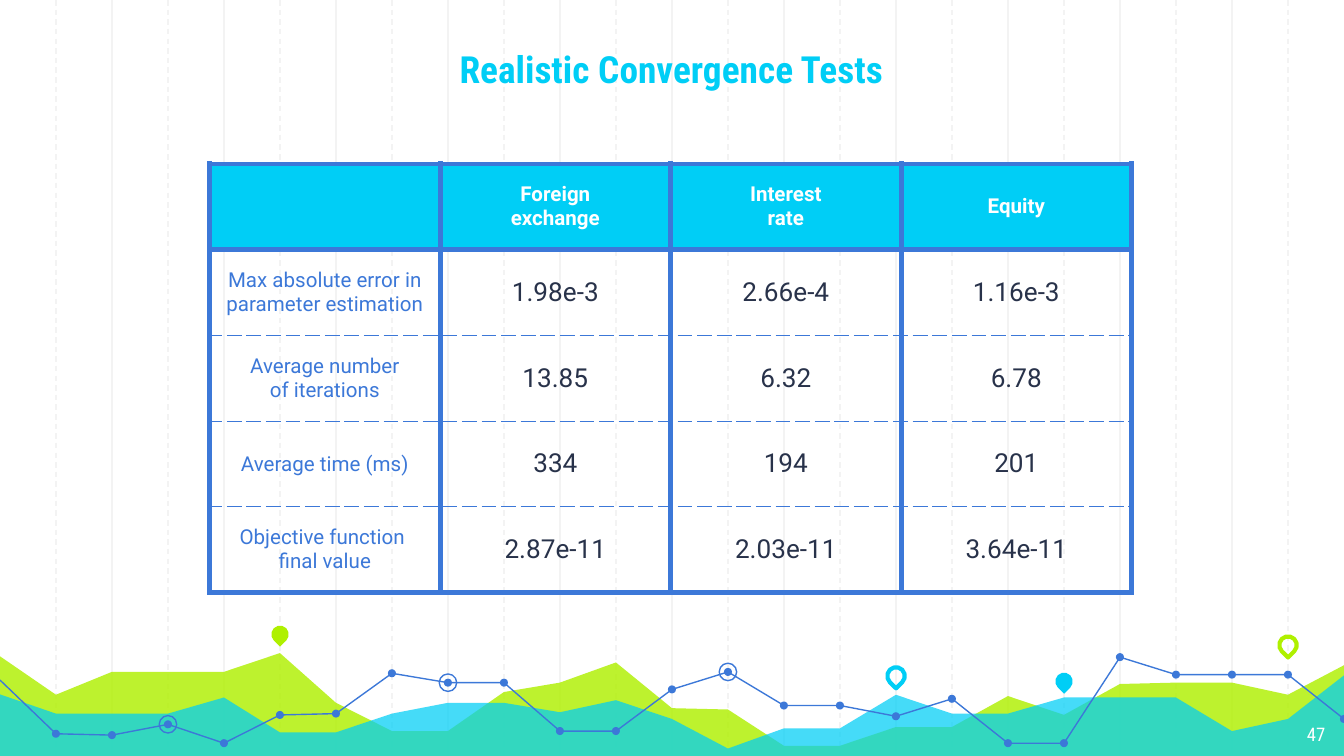
import pptx
import pptx.util
import pptx.dml.color
import pptx.enum.dml
import pptx.enum.shapes
import pptx.enum.text
import pptx.oxml
import pptx.oxml.ns

Inches, Pt = pptx.util.Inches, pptx.util.Pt
Shape = pptx.enum.shapes.MSO_SHAPE
Align = pptx.enum.text.PP_ALIGN
Anchor = pptx.enum.text.MSO_ANCHOR
A_NS = pptx.oxml.ns.nsdecls("a")

# Content
TITLE = "Realistic Convergence Tests"
PAGE = "47"
ROWS = [
    ["", "Foreign\nexchange", "Interest\nrate", "Equity"],
    ["Max absolute error in parameter estimation", "1.98e-3", "2.66e-4", "1.16e-3"],
    ["Average number\nof iterations", "13.85", "6.32", "6.78"],
    ["Average time (ms)", "334", "194", "201"],
    ["Objective function \nfinal value", "2.87e-11", "2.03e-11", "3.64e-11"],
]
COLORS = {"cyan": "00CEF6", "lime": "AFF000", "blue": "3C78D8",
          "ink": "28324A", "white": "FFFFFF", "grid": "F3F3F3"}

# Heights of the decoration, one value per grid column from the left edge
LIME_HILLS = [4.87, 5.17, 5, 5, 5, 4.86, 5.23, 5.44, 5.44, 5.15, 5.08, 4.93, 5.27,
              5.28, 5.55, 5.55, 5.41, 5.41, 5.18, 5.32, 5.09, 5.08, 5.08, 5.17, 4.94]
CYAN_HILLS = [5.16, 5.31, 5.31, 5.31, 5.19, 5.45, 5.45, 5.31, 5.23, 5.23, 5.3, 5.21, 5.35,
              5.57, 5.42, 5.42, 5.17, 5.31, 5.31, 5.19, 5.19, 5.19, 5.44, 5.35, 5.01]
TREND = [5.06, 5.46, 5.47, 5.39, 5.53, 5.32, 5.31, 5.01, 5.08, 5.08, 5.44, 5.44, 5.13,
         5, 5.25, 5.25, 5.33, 5.2, 5.53, 5.53, 4.89, 5.02, 5.02, 5.02, 5.35]
TREND_PARTS = [(0, 11), (11, 20), (20, 24)]
RINGED = [8, 3, 13]
PINS = [(5, 4.72, "lime", True), (16, 5.03, "cyan", False),
        (19, 5.07, "cyan", True), (23, 4.8, "lime", False)]  # column, y, colour, solid

# Geometry
WIDTH = 10
HEIGHT = WIDTH * 9 / 16
GRID = WIDTH / 24
BLEED = 0.02
DOT, MARK = 0.06, 0.13
TABLE_LEFT, TABLE_TOP, TABLE_WIDTH, TABLE_HEIGHT = 1.56, 1.22, 6.86, 3.19

deck = pptx.Presentation()
deck.slide_width, deck.slide_height = Inches(WIDTH), Inches(HEIGHT)
slide = deck.slides.add_slide(deck.slide_layouts[5])
shapes = slide.shapes


def rgb(name):
    return pptx.dml.color.RGBColor.from_string(COLORS[name])


def paint(shape, fill=None, line=None, weight=0.75, opacity=100):
    shape.shadow.inherit = False
    if fill:
        shape.fill.solid()
        shape.fill.fore_color.rgb = rgb(fill)
        if opacity < 100:
            color = shape._element.spPr.find(".//" + pptx.oxml.ns.qn("a:srgbClr"))
            color.append(pptx.oxml.parse_xml(f'<a:alpha {A_NS} val="{opacity * 1000}"/>'))
    else:
        shape.fill.background()
    if line:
        shape.line.color.rgb = rgb(line)
        shape.line.width = Pt(weight)
    else:
        shape.line.fill.background()


def outline(points, close):
    points = [(Inches(x), Inches(y)) for x, y in points]
    builder = shapes.build_freeform(*points[0])
    builder.add_line_segments(points[1:], close=close)
    return builder.convert_to_shape()


def centred(kind, x, y, size):
    return shapes.add_shape(kind, Inches(x - size / 2), Inches(y - size / 2),
                            Inches(size), Inches(size))


def write(frame, text, size, color, align, font="Roboto", bold=False):
    for i, line in enumerate(text.split("\n")):
        paragraph = frame.paragraphs[0] if i == 0 else frame.add_paragraph()
        paragraph.alignment = align
        paragraph.line_spacing = 1.0
        run = paragraph.add_run()
        run.text = line
        run.font.name, run.font.size, run.font.bold = font, Pt(size), bold
        run.font.color.rgb = rgb(color)


def pad(frame, inset=0.1):
    frame.margin_left = frame.margin_right = Inches(inset)
    frame.margin_top = frame.margin_bottom = Inches(inset)
    frame.word_wrap = True
    frame.auto_size = pptx.enum.text.MSO_AUTO_SIZE.NONE


# Vertical grid: solid on even columns, dashed on odd ones
for column in [*range(2, 24, 2), *range(1, 24, 2)]:
    x = Inches(column * GRID)
    rule = shapes.add_connector(pptx.enum.shapes.MSO_CONNECTOR.STRAIGHT,
                                x, 0, x, Inches(HEIGHT + BLEED))
    rule.line.color.rgb = rgb("grid")
    rule.line.width = Pt(0.75)
    if column % 2:
        rule.line.dash_style = pptx.enum.dml.MSO_LINE.DASH
    rule._element.spPr.append(pptx.oxml.parse_xml(f"<a:effectLst {A_NS}/>"))

# Hills
for heights, color, opacity in [(LIME_HILLS, "lime", 82), (CYAN_HILLS, "cyan", 73)]:
    ridge = [(i * GRID, y) for i, y in enumerate(heights)]
    ridge[0] = (-BLEED, heights[0])
    ridge[-1] = (WIDTH + BLEED, heights[-1])
    base = [(WIDTH + BLEED, HEIGHT + BLEED), (-BLEED, HEIGHT + BLEED)]
    paint(outline(ridge + base, True), color, opacity=opacity)

# Pins
for column, y, color, solid in PINS:
    pin = centred(Shape.TEAR, column * GRID, y, MARK)
    pin.rotation = 135
    if solid:
        paint(pin, color)
    else:
        paint(pin, line=color, weight=2.25)

# Trend line with its dots and rings
trend = [(i * GRID, y) for i, y in enumerate(TREND)]
for first, last in TREND_PARTS:
    paint(outline(trend[first:last + 1], False), line="blue")
for x, y in trend[1:]:
    paint(centred(Shape.OVAL, x, y, DOT), "blue")
for column in RINGED:
    paint(centred(Shape.OVAL, *trend[column], MARK), line="blue")

# Title, brought in front of the grid
title = shapes.title
title.left, title.top, title.width, title.height = Inches(1.17), 0, Inches(7.65), Inches(0.78)
pad(title.text_frame)
title.text_frame.vertical_anchor = Anchor.BOTTOM
write(title.text_frame, TITLE, 20, "cyan", Align.CENTER, "Roboto Condensed", True)
shapes._spTree.append(title._element)


# Table
def border(side, thick):
    weight, dash = (3, "solid") if thick else (0.75, "dash")
    return pptx.oxml.parse_xml(
        f'<a:{side} {A_NS} w="{Pt(weight)}"><a:solidFill><a:srgbClr val="{COLORS["blue"]}"/>'
        f'</a:solidFill><a:prstDash val="{dash}"/></a:{side}>')


table = shapes.add_table(len(ROWS), len(ROWS[0]), Inches(TABLE_LEFT), Inches(TABLE_TOP),
                         Inches(TABLE_WIDTH), Inches(TABLE_HEIGHT)).table
table.first_row = table.horz_banding = False
thick_edges = (0, 1, len(ROWS))
for r, row in enumerate(ROWS):
    for c, text in enumerate(row):
        cell = table.cell(r, c)
        cell.vertical_anchor = Anchor.MIDDLE
        cell.margin_left = cell.margin_right = Inches(0.1)
        cell.margin_top = cell.margin_bottom = Inches(0.07)
        if r == 0:
            cell.fill.solid()
            cell.fill.fore_color.rgb = rgb("cyan")
            size, color = 11, "white"
        else:
            cell.fill.background()
            size, color = (11, "blue") if c == 0 else (14, "ink")
        if text:
            write(cell.text_frame, text, size, color, Align.CENTER, bold=r == 0)
        edges = [("lnL", True), ("lnR", True),
                 ("lnT", r in thick_edges), ("lnB", r + 1 in thick_edges)]
        for i, (side, thick) in enumerate(edges):
            cell._tc.get_or_add_tcPr().insert(i, border(side, thick))

# Page number
page = shapes.add_textbox(Inches(9.36), Inches(5.28), Inches(0.6), Inches(0.35))
pad(page.text_frame)
write(page.text_frame, PAGE, 10, "white", Align.RIGHT, "Roboto Condensed")

deck.save("out.pptx")
